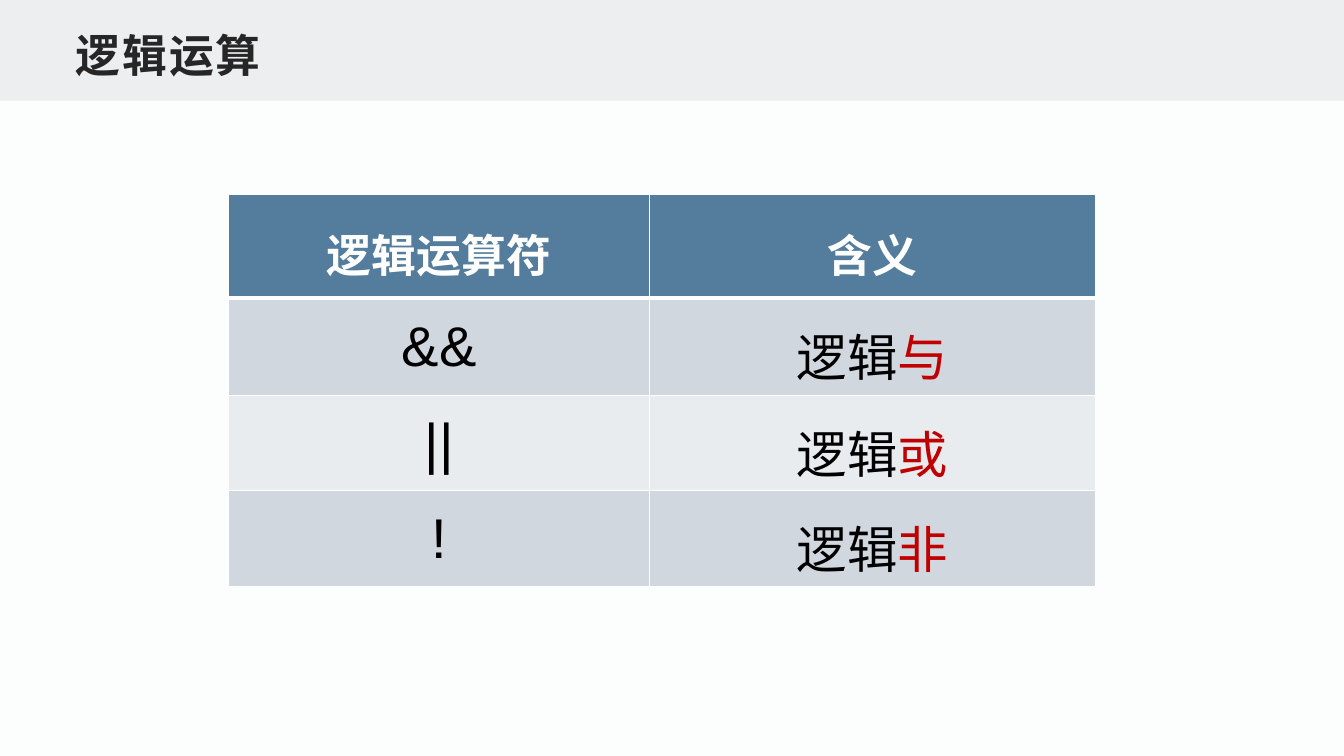
from lxml import etree
from pptx import Presentation
from pptx.dml.color import RGBColor
from pptx.enum.shapes import MSO_SHAPE
from pptx.enum.text import MSO_ANCHOR, PP_ALIGN
from pptx.oxml.ns import qn
from pptx.util import Inches, Pt

RECTANGLE = MSO_SHAPE.RECTANGLE
TOP, MIDDLE, BOTTOM = MSO_ANCHOR.TOP, MSO_ANCHOR.MIDDLE, MSO_ANCHOR.BOTTOM
LEFT, CENTER = PP_ALIGN.LEFT, PP_ALIGN.CENTER

SLIDE_WIDTH, SLIDE_HEIGHT = Inches(13.33), Inches(7.5)
GRID_COLUMNS, GRID_ROWS = 160, 90
LATIN, CHINESE = "Arial", "Noto Sans CJK SC"
WHITE, BLACK, RED = "FFFFFF", "000000", "C00000"
HEADER_FILL, BODY_FILLS = "547D9D", ("D1D7DF", "E9ECEF")

HEADINGS = ("逻辑运算符", "含义")
OPERATORS = (("&&", "与"), ("||", "或"), ("!", "非"))
COLUMN_WEIGHTS = (4.17, 4.43)
ROW_WEIGHTS = (1.03, 0.96, 0.95, 0.95)


def color(value):
    return RGBColor.from_string(value)


def grid_box(column, row, columns, rows):
    across, down = SLIDE_WIDTH / GRID_COLUMNS, SLIDE_HEIGHT / GRID_ROWS
    return (round(column * across), round(row * down),
            round(columns * across), round(rows * down))


def paint(shape, value):
    shape.fill.solid()
    shape.fill.fore_color.rgb = color(value)


def add_text(para, text, size=32, font=LATIN, ink=BLACK, bold=False,
             spacing=None, align=CENTER, line_spacing=None):
    para.alignment = align
    if line_spacing:
        para.line_spacing = line_spacing
    span = para.add_run()
    span.text = text
    span.font.size = Pt(size)
    span.font.name = font
    span.font.bold = bold
    span.font.color.rgb = color(ink)
    properties = span.font._element
    etree.SubElement(properties, qn("a:ea"), typeface=CHINESE)
    if spacing:
        properties.set("spc", str(round(spacing * 100)))


def add_borders(cell, **widths):
    properties = cell._tc.get_or_add_tcPr()
    for side in "LRTB":
        line = etree.SubElement(properties, qn("a:ln" + side),
                                w=str(Pt(widths.get(side, 1))))
        fill = etree.SubElement(line, qn("a:solidFill"))
        etree.SubElement(fill, qn("a:srgbClr"), val=WHITE)


def add_title_band(slide, box):
    left, top, width, height = box
    band = slide.shapes.add_shape(RECTANGLE, *box)
    band.shadow.inherit = False
    paint(band, "ECEEEF")
    band.line.fill.background()

    title = slide.shapes.add_textbox(
        left + round(width * 0.05), top + round(height * 0.18),
        round(width * 0.9), round(height * 0.67))
    frame = title.text_frame
    frame.word_wrap = True
    frame.vertical_anchor = BOTTOM
    frame.margin_left = frame.margin_right = Inches(0.08)
    frame.margin_top = frame.margin_bottom = Inches(0.04)
    add_text(frame.paragraphs[0], "逻辑运算", ink="262626", bold=True,
             spacing=1.5, align=LEFT)


def add_cell(cell, spans, fill, anchor=TOP, **borders):
    add_borders(cell, **borders)
    paint(cell, fill)
    cell.vertical_anchor = anchor
    para = cell.text_frame.paragraphs[0]
    for text, style in spans:
        add_text(para, text, line_spacing=1.2, **style)


def add_operator_table(slide, box):
    left, top, width, height = box
    table = slide.shapes.add_table(
        len(ROW_WEIGHTS), len(COLUMN_WEIGHTS), *box).table
    for column, weight in zip(table.columns, COLUMN_WEIGHTS):
        column.width = round(width * weight / sum(COLUMN_WEIGHTS))
    for row, weight in zip(table.rows, ROW_WEIGHTS):
        row.height = round(height * weight / sum(ROW_WEIGHTS))

    for index, heading in enumerate(HEADINGS):
        add_cell(table.cell(0, index), [(heading, {"ink": WHITE, "bold": True})],
                 HEADER_FILL, MIDDLE, B=3)

    meaning = {"size": 36, "font": CHINESE}
    for index, (symbol, word) in enumerate(OPERATORS):
        fill = BODY_FILLS[index % 2]
        top_width = 1 if index else 3
        add_cell(table.cell(index + 1, 0), [(symbol, {"size": 40})],
                 fill, T=top_width)
        add_cell(table.cell(index + 1, 1),
                 [("逻辑", meaning), (word, {**meaning, "ink": RED})],
                 fill, T=top_width)


def main():
    deck = Presentation()
    deck.slide_width, deck.slide_height = SLIDE_WIDTH, SLIDE_HEIGHT
    slide = deck.slides.add_slide(deck.slide_layouts[6])
    paint(slide.background, "FCFDFD")
    add_title_band(slide, grid_box(0, 0, GRID_COLUMNS, 12))
    add_operator_table(slide, grid_box(27.25, 23.16, 103.2, 46.68))
    deck.save("out.pptx")


if __name__ == "__main__":
    main()
